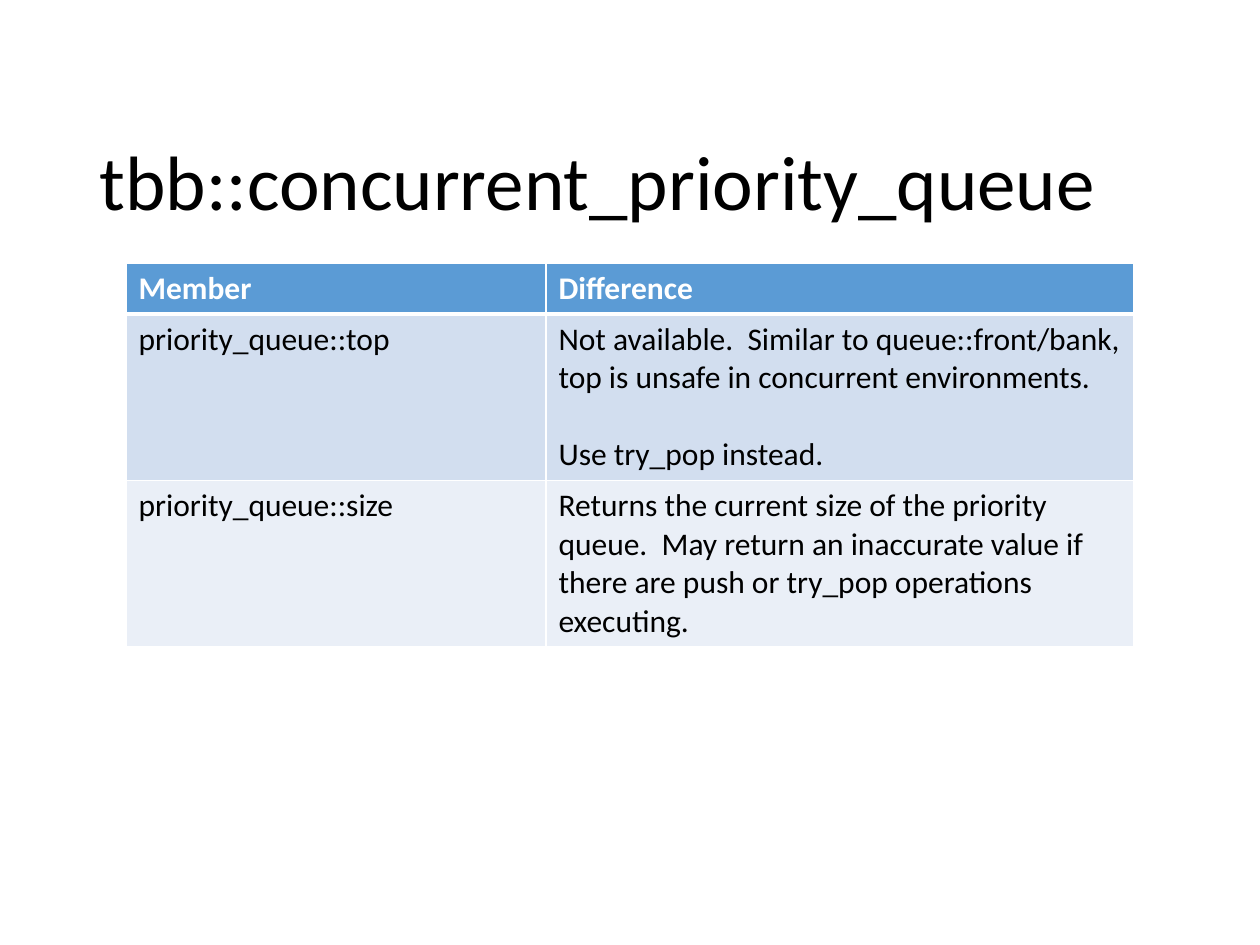
from lxml import etree
from pptx import Presentation
from pptx import util as u
from pptx.dml.color import RGBColor
from pptx.enum import text
from pptx.oxml.ns import qn

PX = u.Inches(1) // 126
WHITE = RGBColor(0xFF, 0xFF, 0xFF)
BLACK = RGBColor(0x00, 0x00, 0x00)
BLUE = RGBColor(0x5B, 0x9B, 0xD5)
BAND_DARK = RGBColor(0xD2, 0xDE, 0xEF)
BAND_LIGHT = RGBColor(0xEA, 0xEF, 0xF7)


def set_font(font, size, color, bold=False):
    for name, value in {"name": "Calibri", "size": u.Pt(size), "bold": bold}.items():
        setattr(font, name, value)
    font.color.rgb = color


def set_border(cell, side, width):
    ln = etree.SubElement(cell._tc.get_or_add_tcPr(), qn(f"a:{side}"), w=str(u.Pt(width)))
    fill = etree.SubElement(ln, qn("a:solidFill"))
    etree.SubElement(fill, qn("a:srgbClr"), val=str(WHITE))


prs = Presentation()
prs.slide_width, prs.slide_height = 1260 * PX, 945 * PX
s = prs.slides.add_slide(prs.slide_layouts[5])

title = s.shapes.title
title.left, title.top, title.width, title.height = (n * PX for n in (87, 50, 1086, 183))
tf = title.text_frame
for name, value in {
    "text": "tbb::concurrent_priority_queue",
    "word_wrap": True,
    "auto_size": text.MSO_AUTO_SIZE.NONE,
    "vertical_anchor": text.MSO_ANCHOR.BOTTOM,
}.items():
    setattr(tf, name, value)
p = tf.paragraphs[0]
p.alignment = text.PP_ALIGN.LEFT
p.line_spacing = 0.9
set_font(p.runs[0].font, 44, BLACK)

rows = [
    (49, BLUE, WHITE, ["Member", "Difference"]),
    (164, BAND_DARK, BLACK, [
        "priority_queue::top",
        "Not available.  Similar to queue::front/bank, top is unsafe in concurrent environments."
        "\nUse try_pop instead.",
    ]),
    (164, BAND_LIGHT, BLACK, [
        "priority_queue::size",
        "Returns the current size of the priority queue.  May return an inaccurate value"
        " if there are push or try_pop operations executing.",
    ]),
]
widths = [420, 588]
height = sum(row[0] for row in rows)
frame = s.shapes.add_table(len(rows), len(widths), 126 * PX, 263 * PX, sum(widths) * PX, height * PX)
table = frame.table
for column, width in zip(table.columns, widths):
    column.width = width * PX

for i, (row_height, fill, color, texts) in enumerate(rows):
    table.rows[i].height = row_height * PX
    for j, content in enumerate(texts):
        cell = table.cell(i, j)
        for side, width in {
            "lnL": 1, "lnR": 1, "lnT": 3 if i == 1 else 1, "lnB": 3 if i == 0 else 1,
        }.items():
            set_border(cell, side, width)
        cell.fill.solid()
        cell.fill.fore_color.rgb = fill
        cell.text_frame.text = content
        for k, p in enumerate(cell.text_frame.paragraphs):
            if k:
                p.space_before = u.Pt(22)
            set_font(p.runs[0].font, 18, color, i == 0)

prs.save("out.pptx")
